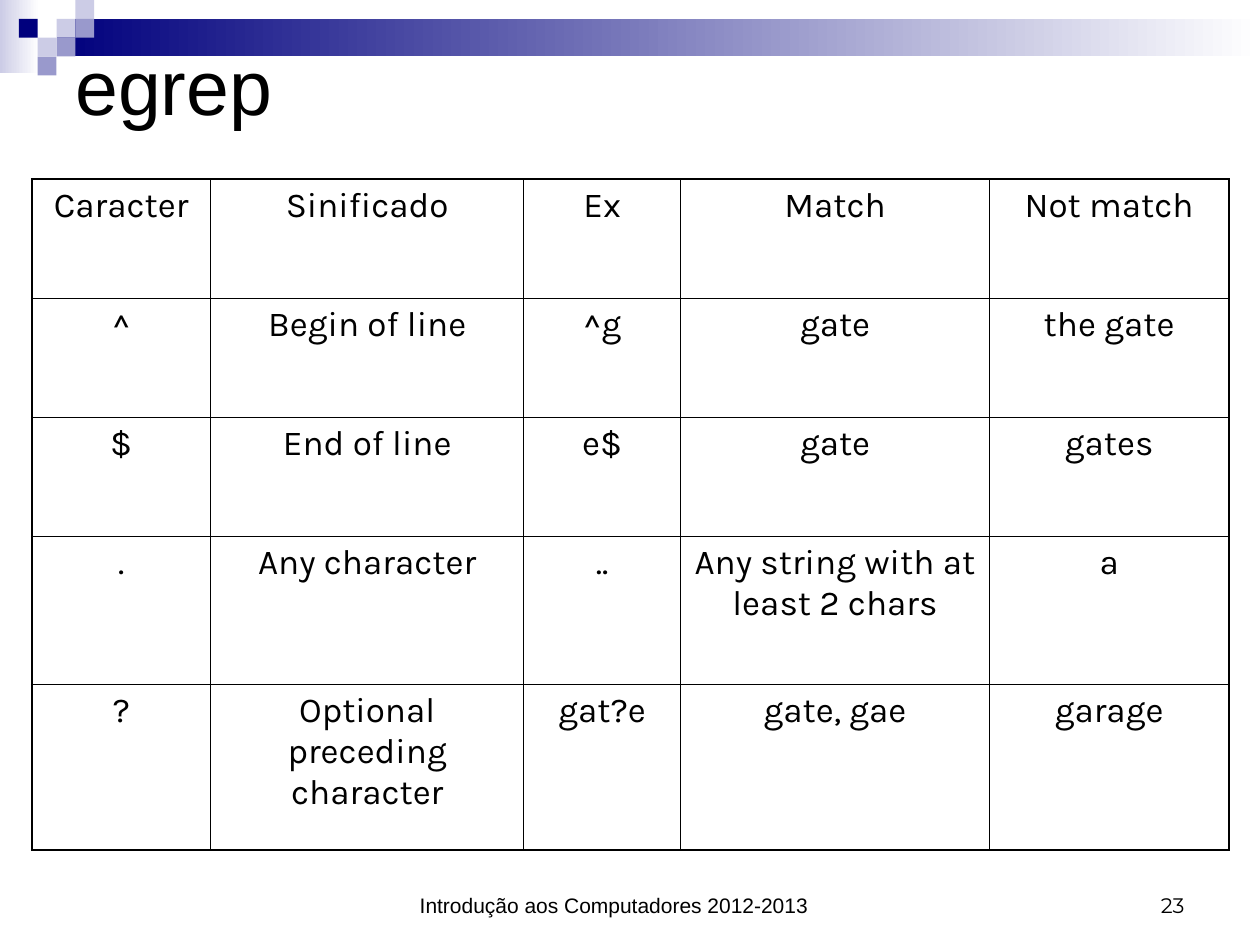
import pptx
import pptx.dml.color
import pptx.enum.shapes
import pptx.enum.text
import pptx.oxml
import pptx.oxml.ns
import pptx.util

Cm = pptx.util.Cm
Pt = pptx.util.Pt
ANCHOR = pptx.enum.text.MSO_ANCHOR
ALIGN = pptx.enum.text.PP_ALIGN
RECTANGLE = pptx.enum.shapes.MSO_SHAPE.RECTANGLE


def color(hex_string):
    return pptx.dml.color.RGBColor.from_string(hex_string)


def write(text_frame, text, font_name, size, alignment):
    """Put one black run into the first paragraph of a text frame."""
    text_frame.word_wrap = True
    paragraph = text_frame.paragraphs[0]
    paragraph.alignment = alignment
    run = paragraph.add_run()
    run.text = text
    run.font.name = font_name
    run.font.size = Pt(size)
    run.font.color.rgb = color("000000")


presentation = pptx.Presentation()
presentation.slide_width = Cm(25.4)
presentation.slide_height = Cm(19.05)
slide = presentation.slides.add_slide(presentation.slide_layouts[6])

# Header bands fading to white
bands = [
    (0, 0, 0.79, 1.47, "CCCCE6"),
    (1.14, 0.38, 24.26, 0.76, "00007D"),
]
for left, top, width, height, band_color in bands:
    band = slide.shapes.add_shape(RECTANGLE, Cm(left), Cm(top), Cm(width), Cm(height))
    band.shadow.inherit = False
    band.line.fill.background()
    band.fill.gradient()
    band.fill.gradient_angle = 180
    for stop, stop_color in zip(band.fill.gradient_stops, ("FFFFFF", band_color)):
        stop.color.rgb = color(stop_color)

# Mosaic of squares: grid column, grid row, colour
square_size = 0.38
squares = [
    (3, 1, "CCCCE6"),
    (4, 0, "CCCCE6"),
    (4, 1, "9999CC"),
    (2, 2, "CCCCE6"),
    (1, 1, "00007D"),
    (3, 2, "9999CC"),
    (2, 3, "9999CC"),
]
for column, row, square_color in squares:
    square = slide.shapes.add_shape(
        RECTANGLE, Cm(column * square_size), Cm(row * square_size),
        Cm(square_size), Cm(square_size))
    square.shadow.inherit = False
    square.line.fill.background()
    square.fill.solid()
    square.fill.fore_color.rgb = color(square_color)

# Title, slide number and footer
texts = [
    ("egrep", 1.27, -0.2, 22.86, 3.81, "Arial", 44, ALIGN.LEFT, ANCHOR.MIDDLE),
    ("23", 18.2, 17.36, 5.93, 1.27, "Montserrat", 12, ALIGN.RIGHT, ANCHOR.BOTTOM),
    ("Introdução aos Computadores 2012-2013", 5.08, 17.57, 14.6, 1.06,
     "Arial", 12, ALIGN.CENTER, ANCHOR.BOTTOM),
]
for text, left, top, width, height, font_name, size, alignment, anchor in texts:
    text_box = slide.shapes.add_textbox(Cm(left), Cm(top), Cm(width), Cm(height))
    text_box.text_frame.vertical_anchor = anchor
    write(text_box.text_frame, text, font_name, size, alignment)

# Table of special characters
rows = [
    ("Caracter", "Sinificado", "Ex", "Match", "Not match"),
    ("^", "Begin of line", "^g", "gate", "the gate"),
    ("$", "End of line", "e$", "gate", "gates"),
    (".", "Any character", "..", "Any string with at least 2 chars", "a"),
    ("?", "Optional preceding character", "gat?e", "gate, gae", "garage"),
]
column_widths = [3.61, 6.31, 3.16, 6.23, 4.82]
row_heights = [2.4, 2.4, 2.4, 2.98, 3.35]
table = slide.shapes.add_table(
    len(rows), len(column_widths), Cm(0.64), Cm(3.61),
    Cm(sum(column_widths)), Cm(sum(row_heights))).table
table.first_row = False
table.horz_banding = False
for column, width in zip(table.columns, column_widths):
    column.width = Cm(width)
for row, height in zip(table.rows, row_heights):
    row.height = Cm(height)

last_row = len(rows) - 1
last_column = len(column_widths) - 1
for row_index, row_texts in enumerate(rows):
    for column_index, text in enumerate(row_texts):
        cell = table.cell(row_index, column_index)
        write(cell.text_frame, text, "Karla", 20, ALIGN.CENTER)
        outer_sides = {
            "lnL": column_index == 0,
            "lnR": column_index == last_column,
            "lnT": row_index == 0,
            "lnB": row_index == last_row,
        }
        cell_properties = cell._tc.get_or_add_tcPr()
        for side, is_outer in outer_sides.items():
            line_width = Pt(1.08 if is_outer else 0.45)
            cell_properties.append(pptx.oxml.parse_xml(
                f'<a:{side} {pptx.oxml.ns.nsdecls("a")} w="{line_width}">'
                '<a:solidFill><a:srgbClr val="000000"/></a:solidFill>'
                f'</a:{side}>'))
        cell.fill.background()

presentation.save("out.pptx")
